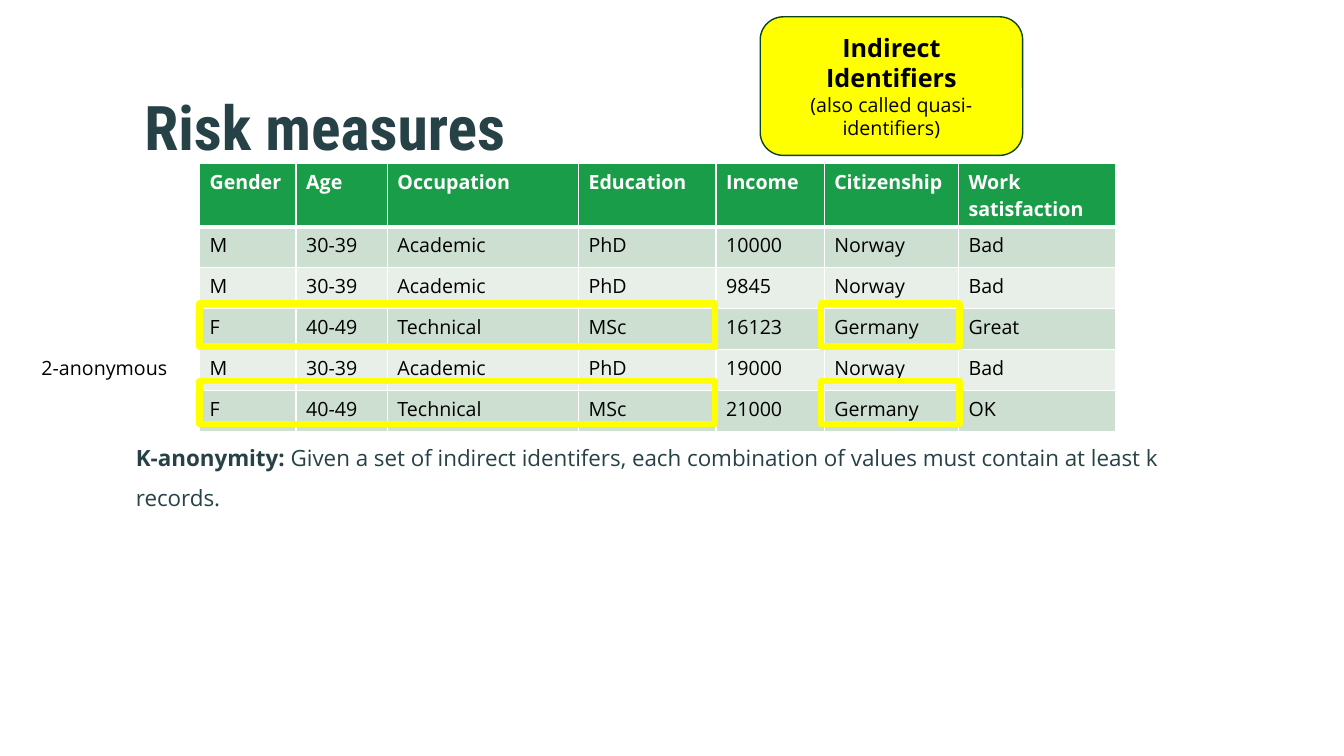
from dataclasses import dataclass

from lxml.etree import SubElement
from pptx import Presentation
from pptx.dml.color import RGBColor
from pptx.enum.shapes import MSO_SHAPE
from pptx.enum.text import MSO_ANCHOR, PP_ALIGN
from pptx.oxml.ns import qn
from pptx.shapes.autoshape import Shape
from pptx.slide import Slide
from pptx.table import _Cell
from pptx.text.text import TextFrame, _Paragraph
from pptx.util import Emu, Pt

EMU_PER_PX = 9525
BODY_FONT = "Open Sans"
TITLE_FONT = "Roboto Condensed"
WHITE, BLACK, YELLOW = "FFFFFF", "000000", "FFFF00"
SLATE, GREEN, DARK_GREEN = "274247", "1A9D49", "0B4520"
BANDS = ("CDDFD0", "E8EFE9")

COLUMN_WIDTHS = (92, 87, 182, 131, 103, 128, 150)
HEADER_HEIGHT, ROW_HEIGHT = 60, 39
RECORDS = (
    ("Gender", "Age", "Occupation", "Education", "Income", "Citizenship", "Work satisfaction"),
    ("M", "30-39", "Academic", "PhD", "10000", "Norway", "Bad"),
    ("M", "30-39", "Academic", "PhD", "9845", "Norway", "Bad"),
    ("F", "40-49", "Technical", "MSc", "16123", "Germany", "Great"),
    ("M", "30-39", "Academic", "PhD", "19000", "Norway", "Bad"),
    ("F", "40-49", "Technical", "MSc", "21000", "Germany", "OK"),
)


@dataclass(frozen=True)
class Box:
    left: int
    top: int
    width: int
    height: int

    def emu(self) -> tuple[Emu, Emu, Emu, Emu]:
        return px(self.left), px(self.top), px(self.width), px(self.height)


@dataclass(frozen=True)
class Style:
    size: int
    color: str = BLACK
    bold: bool = False
    font: str = BODY_FONT


TABLE_BOX = Box(190, 156, sum(COLUMN_WIDTHS), HEADER_HEIGHT + 5 * ROW_HEIGHT)
HIGHLIGHTS = [
    Box(left, top, width, 41)
    for top in (289, 363)
    for left, width in ((190, 491), (782, 132))
]


def px(length: int) -> Emu:
    return Emu(length * EMU_PER_PX)


def rgb(color: str) -> RGBColor:
    return RGBColor.from_string(color)


def add_run(paragraph: _Paragraph, text: str, style: Style) -> None:
    run = paragraph.add_run()
    run.text = text
    run.font.name = style.font
    run.font.size = Pt(style.size)
    run.font.bold = style.bold
    run.font.color.rgb = rgb(style.color)


def add_text_box(slide: Slide, box: Box) -> TextFrame:
    frame = slide.shapes.add_textbox(*box.emu()).text_frame
    frame.word_wrap = True
    return frame


def add_outlined(slide: Slide, preset: MSO_SHAPE, box: Box, color: str, weight: float) -> Shape:
    shape = slide.shapes.add_shape(preset, *box.emu())
    shape.shadow.inherit = False
    shape.fill.background()
    shape.line.color.rgb = rgb(color)
    shape.line.width = Pt(weight)
    return shape


def set_borders(cell: _Cell, top: int, bottom: int) -> None:
    """White cell edges; top and bottom are weights in points, the sides are 1."""
    properties = cell._tc.get_or_add_tcPr()
    for index, (edge, weight) in enumerate((("L", 1), ("R", 1), ("T", top), ("B", bottom))):
        line = SubElement(properties, qn(f"a:ln{edge}"), w=str(Pt(weight)))
        SubElement(SubElement(line, qn("a:solidFill")), qn("a:srgbClr"), val=WHITE)
        properties.insert(index, line)


def add_records(slide: Slide) -> None:
    table = slide.shapes.add_table(len(RECORDS), len(COLUMN_WIDTHS), *TABLE_BOX.emu()).table
    for column, width in zip(table.columns, COLUMN_WIDTHS):
        column.width = px(width)
    for row_index, record in enumerate(RECORDS):
        header = row_index == 0
        table.rows[row_index].height = px(HEADER_HEIGHT if header else ROW_HEIGHT)
        style = Style(14, WHITE, bold=True) if header else Style(14)
        for column_index, value in enumerate(record):
            cell = table.cell(row_index, column_index)
            cell.fill.solid()
            cell.fill.fore_color.rgb = rgb(GREEN if header else BANDS[(row_index - 1) % 2])
            set_borders(cell, top=3 if row_index == 1 else 1, bottom=3 if header else 1)
            add_run(cell.text_frame.paragraphs[0], value, style)


def add_title(slide: Slide) -> None:
    frame = add_text_box(slide, Box(128, 58, 1014, 137))
    frame.vertical_anchor = MSO_ANCHOR.MIDDLE
    frame.margin_top = 0
    heading = frame.paragraphs[0]
    heading.line_spacing = 0.9
    add_run(heading, "Risk measures", Style(44, SLATE, True, TITLE_FONT))


def add_definition(slide: Slide) -> None:
    definition = add_text_box(slide, Box(120, 405, 1014, 228)).paragraphs[0]
    definition.line_spacing = 1.5
    definition.space_after = Pt(9)
    add_run(definition, "K-anonymity: ", Style(16, SLATE, bold=True))
    add_run(
        definition,
        "Given a set of indirect identifers, each combination of values "
        "must contain at least k records.",
        Style(16, SLATE),
    )


def add_identifier_callout(slide: Slide) -> None:
    callout = add_outlined(
        slide, MSO_SHAPE.ROUNDED_RECTANGLE, Box(724, 16, 250, 132), DARK_GREEN, 1
    )
    callout.fill.solid()
    callout.fill.fore_color.rgb = rgb(YELLOW)
    frame = callout.text_frame
    frame.word_wrap = True
    frame.vertical_anchor = MSO_ANCHOR.MIDDLE
    term, synonym = frame.paragraphs[0], frame.add_paragraph()
    term.alignment = synonym.alignment = PP_ALIGN.CENTER
    add_run(term, "Indirect Identifiers", Style(18, bold=True))
    add_run(synonym, "(also called quasi-identifiers)", Style(14))


def main() -> None:
    presentation = Presentation()
    presentation.slide_width, presentation.slide_height = px(1280), px(720)
    slide = presentation.slides.add_slide(presentation.slide_layouts[6])
    add_title(slide)
    add_definition(slide)
    add_records(slide)
    for box in HIGHLIGHTS:
        add_outlined(slide, MSO_SHAPE.RECTANGLE, box, YELLOW, 4.5)
    add_identifier_callout(slide)
    anonymity_level = add_text_box(slide, Box(30, 334, 155, 33))
    add_run(anonymity_level.paragraphs[0], "2-anonymous", Style(14))
    presentation.save("out.pptx")


if __name__ == "__main__":
    main()
